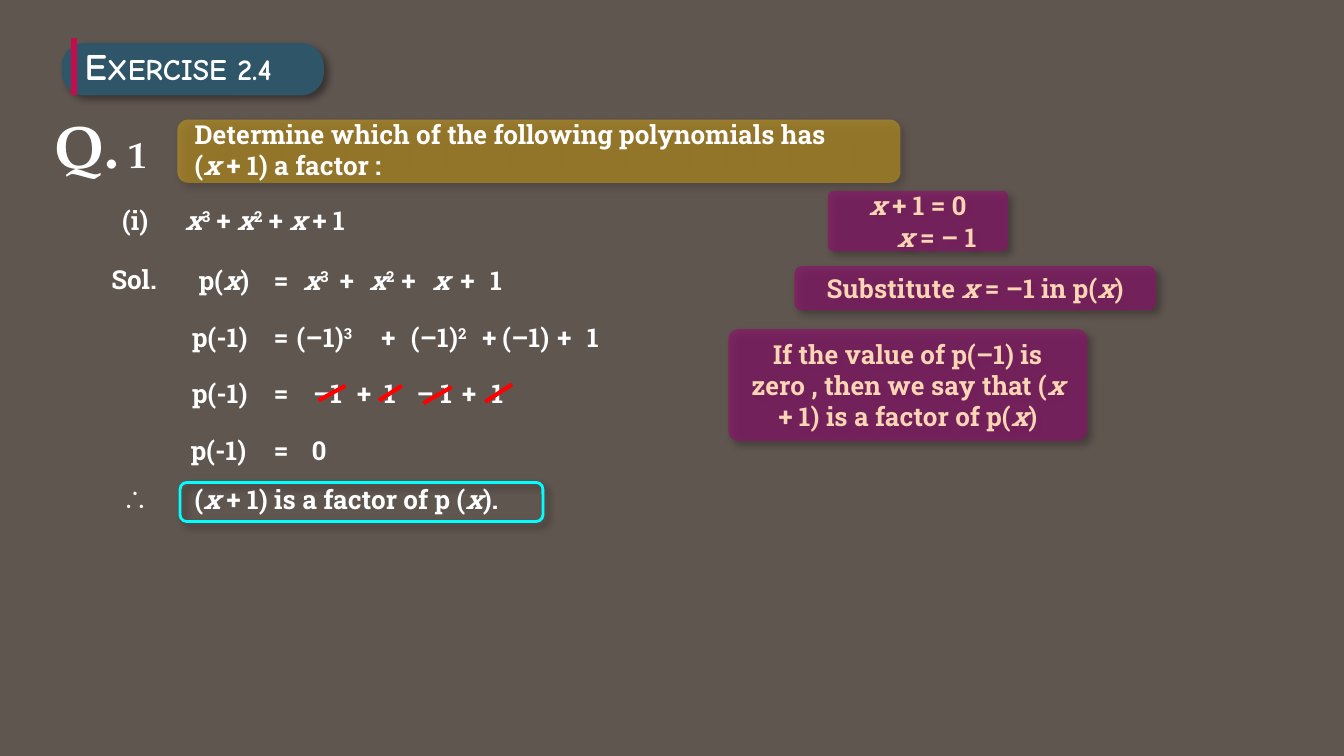
"""Build the Exercise 2.4 slide on the factor theorem."""
from lxml.etree import SubElement
from pptx import Presentation
from pptx.dml.color import RGBColor
from pptx.enum.shapes import MSO_CONNECTOR as LINE, MSO_SHAPE as SHAPE
from pptx.enum.text import MSO_ANCHOR as ANCHOR, MSO_AUTO_SIZE as FIT, PP_ALIGN as ALIGN
from pptx.oxml.ns import qn
from pptx.util import Inches, Pt

GROUND = RGBColor(0x60, 0x56, 0x50)
WHITE = RGBColor(0xFF, 0xFF, 0xFF)
TEAL = RGBColor(0x2E, 0x56, 0x68)
ROSE = RGBColor(0xC2, 0x0E, 0x4E)
GOLD = RGBColor(0xFF, 0xC0, 0x00)
CYAN = RGBColor(0x00, 0xFF, 0xFF)
PLUM = RGBColor(0x89, 0x15, 0x6B)
PEACH = RGBColor(0xFC, 0xD5, 0xB5)
RED = RGBColor(0xFF, 0x00, 0x00)

SLAB = "Roboto Slab"
SERIF = "TeX Gyre Pagella"
COMIC = "Comic Neue"
WIDE = Inches(10)
ROW_TOP, ROW_STEP, ROW_HIGH = 1.92, 0.42, 0.34

TITLE = "E~XERCISE 2.4"
NUMBER = "Q.~ 1"
LABELS = [
    (1.35, 0.83, 5.41, "Determine which of the following polynomials has"),
    (1.35, 1.06, 1.92, "(_x_ + 1) a factor :"),
    (0.81, 1.47, 0.45, "(i)"),
    (1.28, 1.47, 1.83, "_x_^3^ + _x_^2^ + _x_ + 1"),
    (0.73, 1.91, 0.62, "Sol."),
    (1.35, 3.55, 2.75, "(_x_ + 1) is a factor of p (_x_)."),
]
ROWS = [
    [(1.38, "p(_x_)"), (1.94, "="), (2.16, "_x_^3^"), (2.43, "+"), (2.65, "_x_^2^"),
     (2.89, "+"), (3.12, "_x_"), (3.33, "+"), (3.55, "1")],
    [(1.33, "p(-1)"), (1.94, "="), (2.11, "(–1)^3^"), (2.74, "+"), (2.96, "(–1)^2^"),
     (3.49, "+"), (3.64, "(–1)"), (4.05, "+"), (4.27, "1")],
    [(1.33, "p(-1)"), (1.94, "="), (2.23, "–1"), (2.56, "+"), (2.76, "1"),
     (3.0, "– 1"), (3.34, "+"), (3.56, "1")],
    [(1.32, "p(-1)"), (1.94, "="), (2.22, "0")],
]
STRIKES = [(2.57, 2.87, 2.37, 2.98), (3.36, 2.88, 3.15, 3.0),
           (2.99, 2.87, 2.82, 2.98), (3.81, 2.86, 3.61, 2.99)]
CARDS = [
    (6.16, 1.42, 1.34, 0.45, 0.09, ["_x_ + 1 = 0", "_x_ = – 1"]),
    (5.91, 1.98, 2.69, 0.33, 0.17, ["Substitute _x_ = –1 in p(_x_)"]),
    (5.42, 2.45, 2.67, 0.83, 0.09,
     ["If the value of p(–1) is zero , then we say that (_x_ + 1) is a factor of p(_x_)"]),
]


def write(shape, *lines, size=14, small=14, face=SLAB, color=WHITE,
          align=ALIGN.LEFT, anchor=ANCHOR.TOP, indent=0):
    """Write lines: _italic_, ^raised^, and small type after ~."""
    frame = shape.text_frame
    frame.word_wrap = True
    frame.auto_size = FIT.NONE
    frame.vertical_anchor = anchor
    for row, line in enumerate(lines):
        para = frame.add_paragraph() if row else frame.paragraphs[0]
        para.alignment = align
        if row and indent:
            para._p.get_or_add_pPr().set("marL", str(Inches(indent)))
        lead, _, tail = line.partition("~")
        for part, points in ((lead, size), (tail, small)):
            for slant, piece in enumerate(part.split("_")):
                for raised, word in enumerate(piece.split("^")):
                    if not word:
                        continue
                    run = para.add_run()
                    run.text = word
                    font = run.font
                    font.name, font.size, font.bold = face, Pt(points), True
                    font.italic = slant % 2 == 1
                    font.color.rgb = color
                    if raised % 2:
                        font._element.set("baseline", "30000")


def fade(color, share):
    SubElement(color, qn("a:alpha"), val=str(share * 1000))


def panel(slide, left, top, width, height, fill=None, share=100, line=None, bend=0.17):
    shape = slide.shapes.add_shape(
        SHAPE.ROUNDED_RECTANGLE, *map(Inches, (left, top, width, height)))
    shape.adjustments[0] = bend
    if fill is None:
        shape.fill.background()
    else:
        shape.fill.solid()
        shape.fill.fore_color.rgb = fill
        fade(shape._element.spPr.find(".//" + qn("a:srgbClr")), share)
    if line is None:
        shape.line.fill.background()
    else:
        shape.line.color.rgb = line
        shape.line.width = Pt(1.5)
    shape.shadow.inherit = False
    glow = SubElement(shape._element.spPr.find(qn("a:effectLst")), qn("a:outerShdw"),
                      blurRad=str(Pt(4)), dist=str(Pt(3)), dir="2700000",
                      algn="tl", rotWithShape="0")
    fade(SubElement(glow, qn("a:srgbClr"), val="000000"), 40)
    return shape


def stroke(slide, ends, color, width):
    line = slide.shapes.add_connector(LINE.STRAIGHT, *map(Inches, ends))
    line.line.color.rgb = color
    line.line.width = Pt(width)
    SubElement(line._element.spPr, qn("a:effectLst"))


def label(slide, left, top, width, text, height=ROW_HIGH, **style):
    box = slide.shapes.add_textbox(*map(Inches, (left, top, width, height)))
    write(box, text, **style)


def main():
    deck = Presentation()
    deck.slide_width, deck.slide_height = WIDE, WIDE * 9 // 16
    slide = deck.slides.add_slide(deck.slide_layouts[5])
    slide.background.fill.solid()
    slide.background.fill.fore_color.rgb = GROUND

    label(slide, 0.31, 0.76, 1.07, NUMBER, height=0.64, size=32, small=20, face=SERIF)
    panel(slide, 0.46, 0.32, 1.95, 0.39, fill=TEAL, bend=0.44)
    stroke(slide, (0.55, 0.28, 0.55, 0.71), ROSE, 3)
    title = slide.shapes.title
    title.left, title.top, title.width, title.height = map(Inches, (0.53, 0.27, 1.85, 0.44))
    write(title, TITLE, size=20, small=16, face=COMIC)
    slide.shapes._spTree.append(title._element)

    panel(slide, 1.32, 0.89, 5.38, 0.47, fill=GOLD, share=38)
    panel(slide, 1.34, 3.59, 2.7, 0.29, line=CYAN)
    for left, top, width, text in LABELS:
        label(slide, left, top, width, text)
    label(slide, 0.81, 3.54, 0.37, "∴", face="Arial")

    for row, terms in enumerate(ROWS):
        for left, text in terms:
            width = 0.33 if len(text) == 1 else 0.5 if len(text) < 4 else 0.66
            label(slide, left, ROW_TOP + row * ROW_STEP, width, text)

    for left, top, width, height, bend, lines in CARDS:
        card = panel(slide, left, top, width, height, fill=PLUM, share=69, bend=bend)
        write(card, *lines, color=PEACH, align=ALIGN.CENTER, anchor=ANCHOR.MIDDLE, indent=0.28)
    for ends in STRIKES:
        stroke(slide, ends, RED, 2.25)
    deck.save("out.pptx")


if __name__ == "__main__":
    main()
